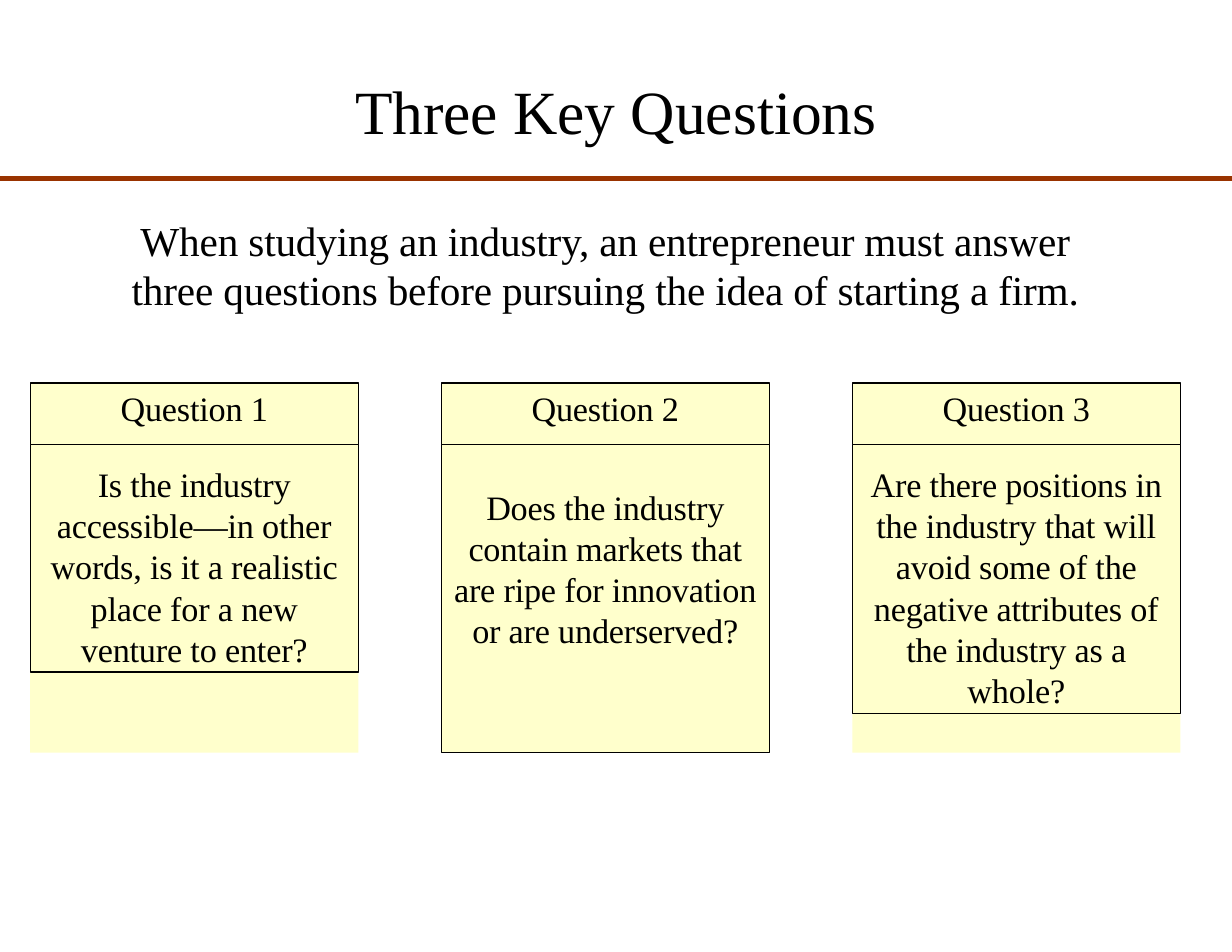
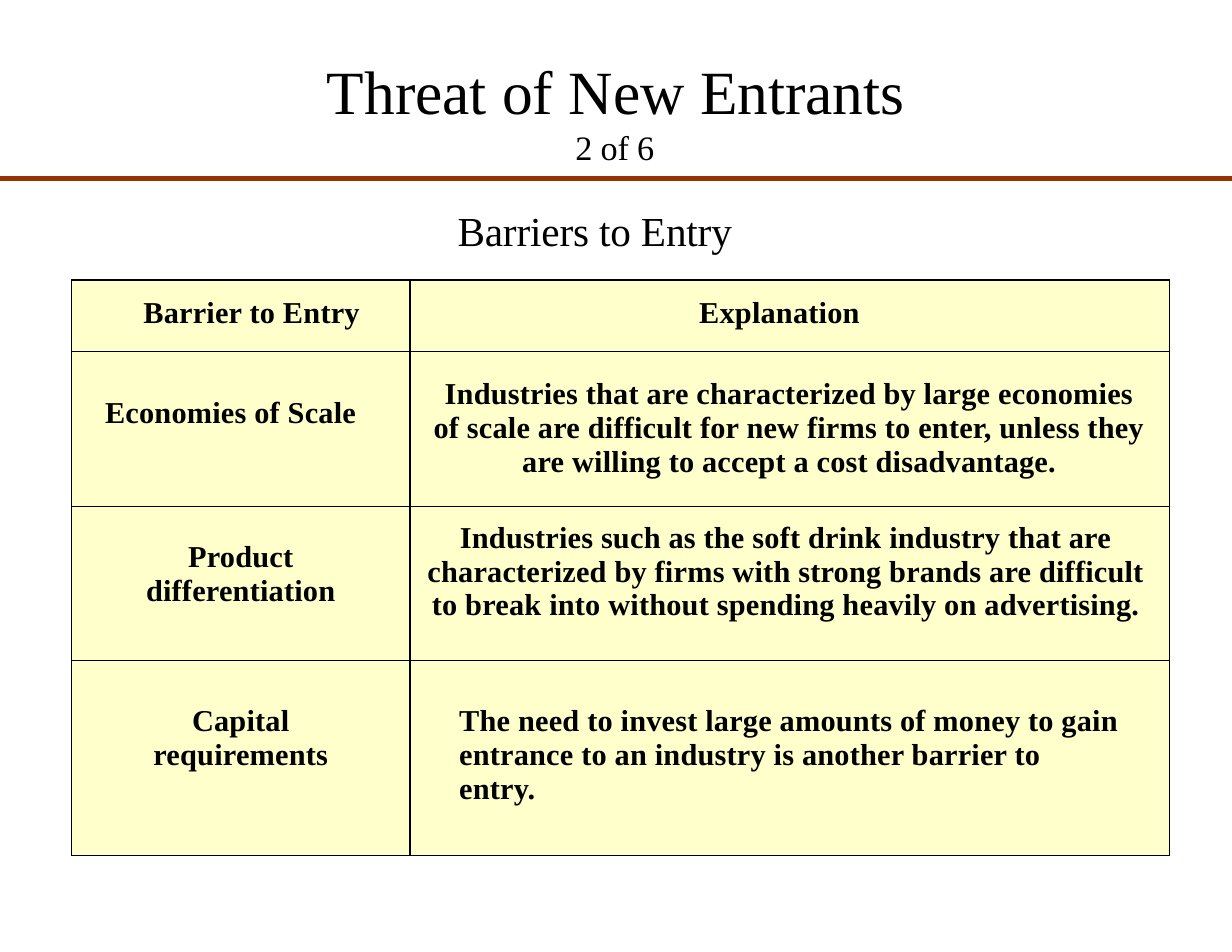
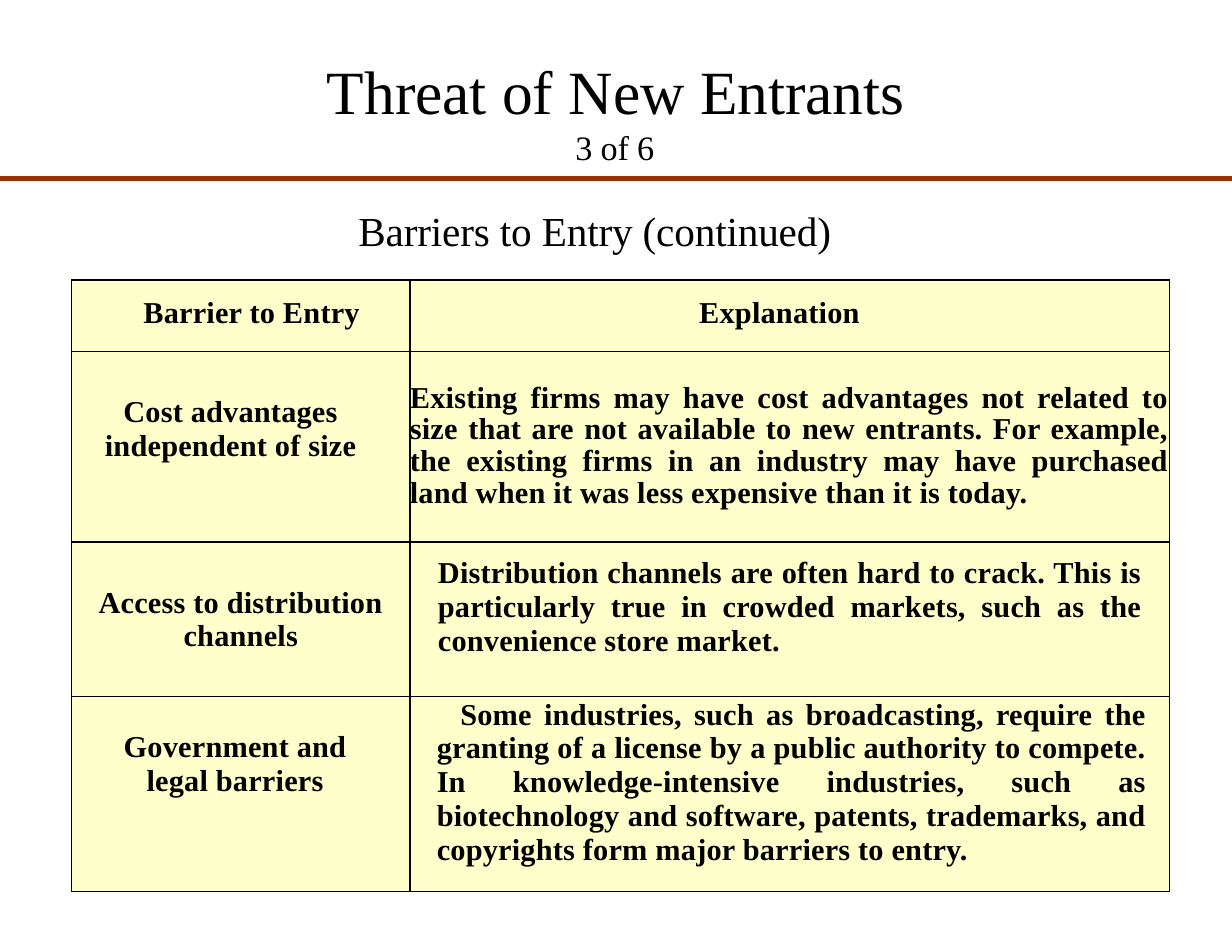
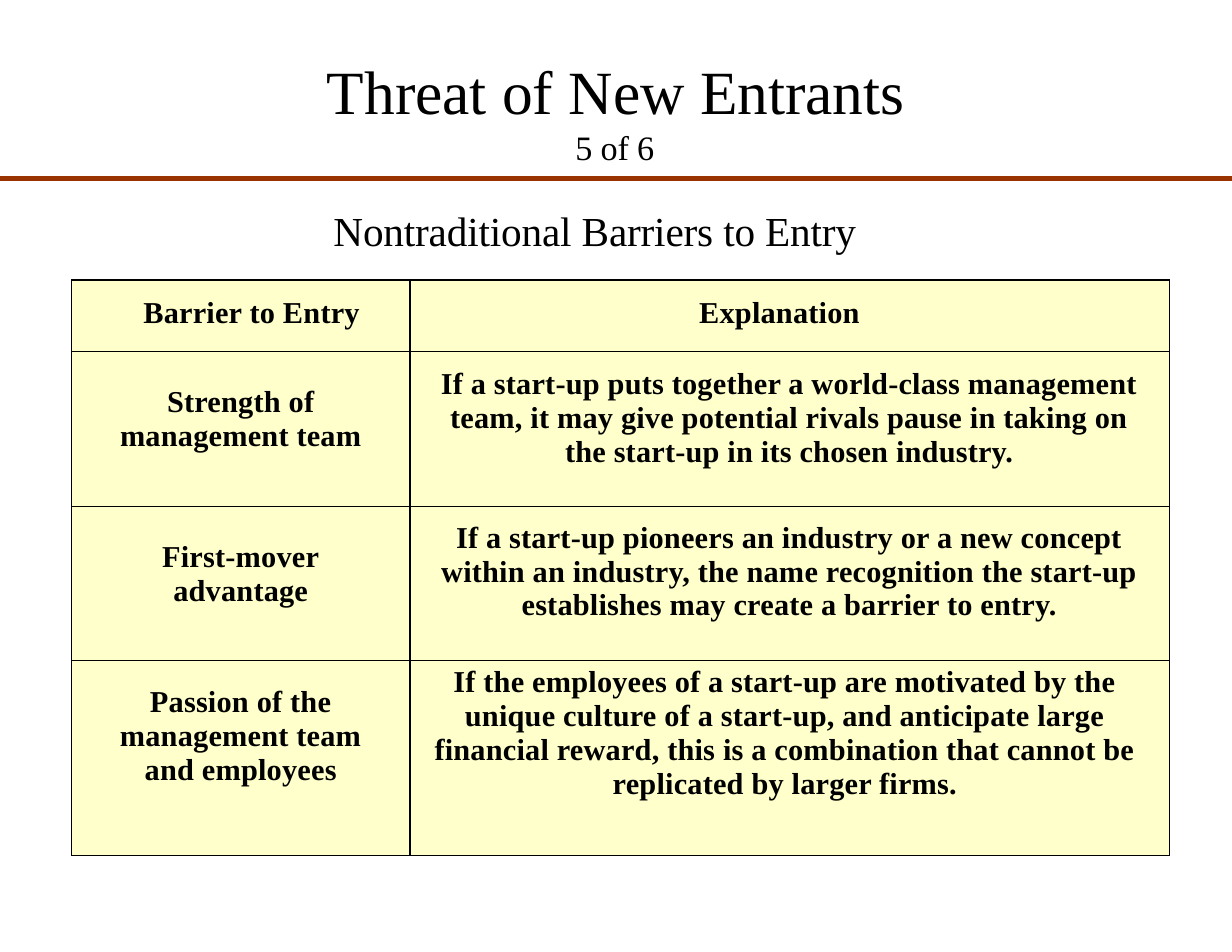
import pptx
import pptx.util
import pptx.dml.color
import pptx.enum.shapes
import pptx.enum.text
import pptx.oxml
import pptx.oxml.ns
from lxml import etree

Inches, Pt = pptx.util.Inches, pptx.util.Pt
Align = pptx.enum.text.PP_ALIGN
Top = pptx.enum.text.MSO_ANCHOR.TOP
Rect = pptx.enum.shapes.MSO_SHAPE.RECTANGLE
Line = pptx.enum.shapes.MSO_CONNECTOR.STRAIGHT
qn = pptx.oxml.ns.qn

HUES = {"ink": "000000", "rule": "993300", "card": "FFFFCC"}
RGB = {k: pptx.dml.color.RGBColor.from_string(v) for k, v in HUES.items()}
FACE = "Times New Roman"
WIDE, HIGH = 11, 8.5


def write(para, text, size, align=Align.CENTER, bold=False, lead=None, spread=0):
    """Fill a paragraph, one run per line; spread is in hundredths of a point."""
    para.alignment = align
    if lead:
        para.line_spacing = lead
    for n, part in enumerate(text.split("\n")):
        if n:
            para.add_line_break()
        run = para.add_run()
        run.text = part
        font = run.font
        font.name, font.size, font.bold = FACE, Pt(size), bold
        font.color.rgb = RGB["ink"]
        if spread:
            run._r.get_or_add_rPr().set("spc", str(spread))


def pad(frame, top, wrap=True):
    """Keep only a top inset and start the text there."""
    frame.margin_left = frame.margin_right = frame.margin_bottom = 0
    frame.margin_top = Inches(top)
    frame.vertical_anchor = Top
    frame.word_wrap = wrap
    return frame.paragraphs[0]


deck = pptx.Presentation()
deck.slide_width, deck.slide_height = Inches(WIDE), Inches(HIGH)

# Title, its width and its top for each slide
threat = ("Threat of New Entrants", 5.21, 0.45)
heads = [("Three Key Questions", 4.7, 0.63), threat, threat, threat]
slides = []
for text, width, top in heads:
    slide = deck.slides.add_slide(deck.slide_layouts[5])
    title = slide.shapes.title
    title.left, title.top = Inches((WIDE - width) / 2), Inches(top)
    title.width, title.height = Inches(width), Inches(0.69)
    write(pad(title.text_frame, 0.02, False), text, 39.5)
    rule = slide.shapes.add_connector(Line, 0, Inches(1.59), Inches(WIDE), Inches(1.59))
    rule.line.color.rgb = RGB["rule"]
    rule.line.width = Pt(3.25)
    etree.SubElement(rule._element.spPr, qn("a:effectLst"))
    slides.append(slide)

# Slide 1: three question cards
shapes = slides[0].shapes
intro = shapes.add_textbox(Inches(1.14), Inches(1.89), Inches(8.53), Inches(0.91))
write(pad(intro.text_frame, 0.03, False),
      "When studying an industry, an entrepreneur must answer\n"
      "three questions before pursuing the idea of starting a firm.",
      26.5, lead=Pt(31.7), spread=-10)

# Body text, height of the outlined body, top inset
cards = [
    ("Is the industry\naccessible—in other\nwords, is it a realistic\n"
     "place for a new\nventure to enter?", 2.03, 0.17),
    ("Does the industry\ncontain markets that\nare ripe for innovation\n"
     "or are underserved?", 2.75, 0.37),
    ("Are there positions in\nthe industry that will\navoid some of the\n"
     "negative attributes of\nthe industry as a\nwhole?", 2.4, 0.17),
]
left, step, broad = 0.27, 3.67, 2.93
head, top = 0.55, 3.42
for n, (text, tall, inset) in enumerate(cards):
    parts = [
        ("", top, 3.3, 0),
        (text, top + head, tall, inset),
        (f"Question {n + 1}", top, head, 0.04),
    ]
    for words, y, height, inset in parts:
        box = shapes.add_shape(Rect, Inches(left + n * step), Inches(y),
                               Inches(broad), Inches(height))
        box.shadow.inherit = False
        box.fill.solid()
        box.fill.fore_color.rgb = RGB["card"]
        if words:
            box.line.color.rgb = RGB["ink"]
            box.line.width = Pt(0.84)
            write(pad(box.text_frame, inset), words, 22, lead=1.0, spread=-10)
        else:
            box.line.fill.background()

# Slides 2 to 4: page, subtitle, its box width, height of the first body row, rows
# Cell: text, top margin, left margin, right margin, then alignment if not centred
both = Align.JUSTIFY
tables = [
    ("2 of 6", "Barriers to Entry", 2.49, 1.38, [
        [("Economies of Scale", 0.4, 0, 0.18),
         ("Industries that are characterized by large economies\n"
          "of scale are difficult for new firms to enter, unless they\n"
          "are willing to accept a cost disadvantage.", 0.23, 0, 0)],
        [("Product\ndifferentiation", 0.3, 0, 0),
         ("Industries such as the soft drink industry that are\n"
          "characterized by firms with strong brands are difficult\n"
          "to break into without spending heavily on advertising.", 0.13, 0, 0.06)],
        [("Capital\nrequirements", 0.39, 0, 0),
         ("The need to invest large amounts of money to gain\n"
          "entrance to an industry is another barrier to\nentry.",
          0.39, 0.44, 0, Align.LEFT)],
    ]),
    ("3 of 6", "Barriers to Entry (continued)", 4.27, 1.7, [
        [("Cost advantages\nindependent of size", 0.39, 0, 0.18),
         ("Existing firms may have cost advantages not related to size that are "
          "not available to new entrants. For example, the existing firms in an "
          "industry may have purchased land when it was less expensive than it is "
          "today.", 0.28, 0, 0, both)],
        [("Access to distribution\nchannels", 0.39, 0, 0),
         ("Distribution channels are often hard to crack. This is particularly "
          "true in crowded markets, such as the convenience store market.",
          0.13, 0.25, 0.24, both)],
        [("Government and\nlegal barriers", 0.3, 0, 0.1),
         ("Some industries, such as broadcasting, require the granting of a "
          "license by a public authority to compete. In knowledge-intensive "
          "industries, such as biotechnology and software, patents, trademarks, "
          "and copyrights form major barriers to entry.", 0.01, 0.24, 0.2, both)],
    ]),
    ("5 of 6", "Nontraditional Barriers to Entry", 4.72, 1.38, [
        [("Strength of\nmanagement team", 0.3, 0, 0),
         ("If a start-up puts together a world-class management\n"
          "team, it may give potential rivals pause in taking on\n"
          "the start-up in its chosen industry.", 0.14, 0, 0)],
        [("First-mover\nadvantage", 0.3, 0, 0),
         ("If a start-up pioneers an industry or a new concept\n"
          "within an industry, the name recognition the start-up\n"
          "establishes may create a barrier to entry.", 0.13, 0, 0)],
        [("Passion of the\nmanagement team\nand employees", 0.22, 0, 0),
         ("If the employees of a start-up are motivated by the\n"
          "unique culture of a start-up, and anticipate large\n"
          "financial reward, this is a combination that cannot be\n"
          "replicated by larger firms.", 0.04, 0, 0.08)],
    ]),
]
labels = [("Barrier to Entry", 0.14, 0.64, 0, Align.LEFT),
          ("Explanation", 0.14, 0, 0.18)]
cols = [3.02, 6.78]
mid = 5.31  # centre line of the subtitles

for slide, (page, name, width, first, body) in zip(slides[1:], tables):
    note = slide.shapes.add_textbox(Inches(mid - width / 2), Inches(1.12),
                                    Inches(width), Inches(1.15))
    para = pad(note.text_frame, 0.01, False)
    write(para, page, 22, spread=-10)
    para._p.get_or_add_pPr().set("marL", str(Inches(0.36)))
    para = note.text_frame.add_paragraph()
    para.space_before = Pt(24)
    write(para, name, 26.5, spread=-10)

    rows = [0.64, first, 1.38, 1.74]
    grid = slide.shapes.add_table(len(rows), len(cols), Inches(0.64), Inches(2.5),
                                  Inches(sum(cols)), Inches(sum(rows))).table
    for col, size in zip(grid.columns, cols):
        col.width = Inches(size)
    for r, (size, line) in enumerate(zip(rows, [labels] + body)):
        grid.rows[r].height = Inches(size)
        for c, (text, above, before, after, *align) in enumerate(line):
            cell = grid.cell(r, c)
            cell.margin_top, cell.margin_bottom = Inches(above), 0
            cell.margin_left, cell.margin_right = Inches(before), Inches(after)
            cell.vertical_anchor = Top
            para = cell.text_frame.paragraphs[0]
            tight = first > 1.5 and (r, c) == (1, 1)
            write(para, text, 19.5, align[0] if align else Align.CENTER, True,
                  Pt(20.4) if tight else 1.01, 10)
            if text.startswith("Some industries"):
                para._p.get_or_add_pPr().set("indent", str(Inches(0.21)))
            prop = cell._tc.get_or_add_tcPr()
            for side in ("lnL", "lnR", "lnT", "lnB"):
                edge = etree.SubElement(prop, qn("a:" + side), w=str(Pt(1)))
                fill = etree.SubElement(edge, qn("a:solidFill"))
                etree.SubElement(fill, qn("a:srgbClr"), val=HUES["ink"])
            cell.fill.solid()
            cell.fill.fore_color.rgb = RGB["card"]

deck.save("out.pptx")
